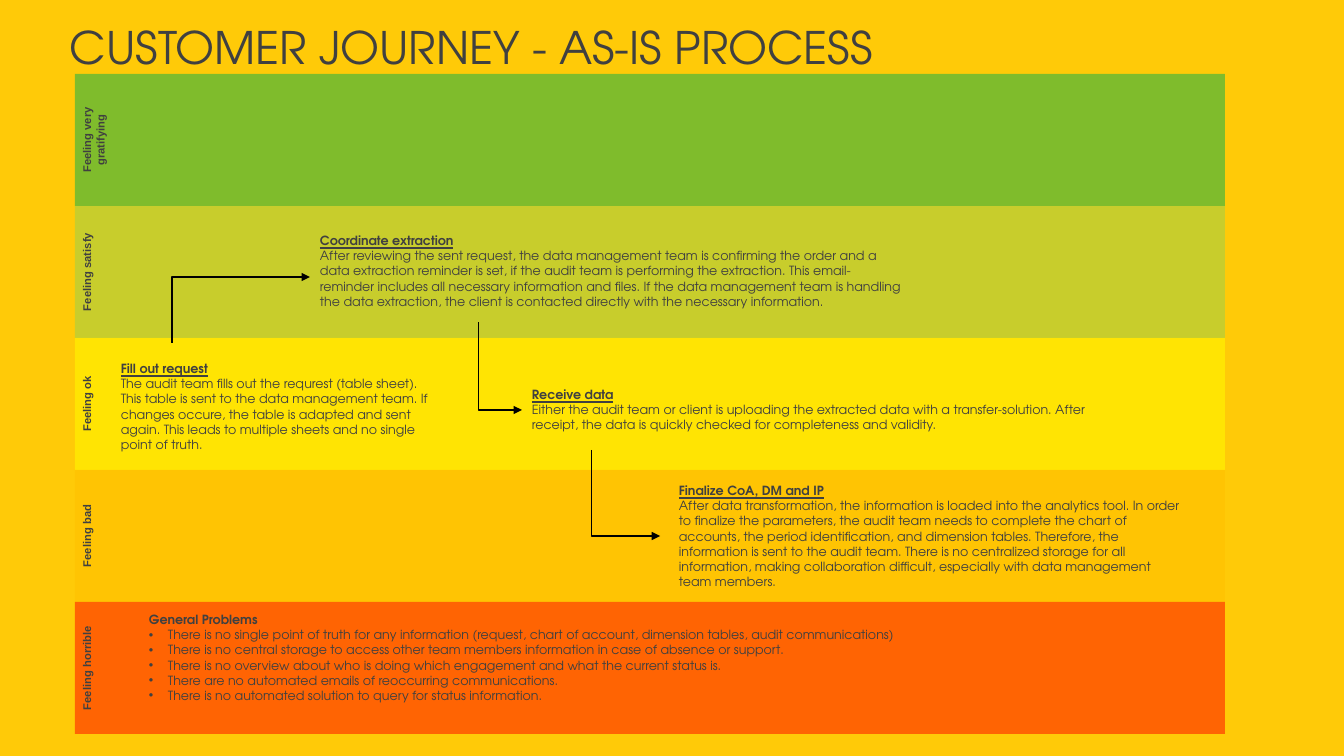
from lxml.etree import SubElement
from pptx import Presentation
from pptx.dml.color import RGBColor
from pptx.enum.shapes import MSO_CONNECTOR, MSO_SHAPE
from pptx.enum.text import PP_ALIGN
from pptx.oxml.ns import qn
from pptx.util import Pt

EMU_PER_PX = 914400 / 100.8
BODY_FONT = "TeX Gyre Adventor"
INK = "404040"

BANDS = [
    ("Feeling very gratifying", "00B050"),
    ("Feeling satisfy", "92D050"),
    ("Feeling ok", "FFFF00"),
    ("Feeling bad", "FFC000"),
    ("Feeling horrible", "FF0000"),
]
STEPS = [
    ((111, 356, 332, 132), "Fill out request",
     "The audit team fills out the requrest (table sheet). This table is sent to the data "
     "management team. If changes occure, the table is adapted and sent again. This leads to "
     "multiple sheets and no single point of truth."),
    ((310, 228, 602, 87), "Coordinate extraction",
     "After reviewing the sent request, the data management team is confirming the order and a "
     "data extraction reminder is set, if the audit team is performing the extraction. This "
     "email-reminder includes all necessary information and files. If the data management team "
     "is handling the data extraction, the client is contacted directly with the necessary "
     "information."),
    ((522, 382, 601, 56), "Receive data",
     "Either the audit team or client is uploading the extracted data with a transfer-solution. "
     "After receipt, the data is quickly checked for completeness and validity."),
    ((669, 478, 526, 147), "Finalize CoA, DM and IP",
     "After data transformation, the information is loaded into the analytics tool. In order to "
     "finalize the parameters, the audit team needs to complete the chart of accounts, the period "
     "identification, and dimension tables. Therefore, the information is sent to the audit team. "
     "There is no centralized storage for all information, making collaboration difficult, "
     "especially with data management team members."),
]
ARROWS = [
    ((172, 343), (310, 277)),
    ((479, 322), (522, 410)),
    ((591, 450), (660, 536)),
]
PROBLEMS = [
    "There is no single point of truth for any information (request, chart of account, "
    "dimension tables, audit communications)",
    "There is no central storage to access other team members information in case of absence "
    "or support.",
    "There is no overview about who is doing which engagement and what the current status is.",
    "There are no automated emails of reoccurring communications.",
    "There is no automated solution to query for status information.",
]


def px(length):
    return round(length * EMU_PER_PX)


def color(value):
    return RGBColor.from_string(value)


def add_text(page, box, lines):
    frame = page.shapes.add_textbox(*map(px, box)).text_frame
    frame.word_wrap = True
    for index, (text, formats) in enumerate(lines):
        para = frame.paragraphs[0] if index == 0 else frame.add_paragraph()
        span = para.add_run()
        span.text = text
        span.font.color.rgb = color(INK)
        for name, value in ({"name": BODY_FONT, "size": Pt(9)} | formats).items():
            setattr(span.font, name, value)
    return frame


def add_band(page, box, label, fill):
    left, top, width, height = box
    band = page.shapes.add_shape(MSO_SHAPE.RECTANGLE, *map(px, box))
    band.shadow.inherit = False
    band.line.fill.background()
    band.fill.solid()
    band.fill.fore_color.rgb = color(fill)
    tint = band.fill._xPr.find(".//" + qn("a:srgbClr"))
    SubElement(tint, qn("a:alpha"), val="50000")
    formats = {"name": "Arial", "size": Pt(8), "bold": True}
    frame = add_text(page, (left, top, 34, height), [(label, formats)])
    frame.paragraphs[0].alignment = PP_ALIGN.CENTER
    frame._txBody.bodyPr.set("vert", "vert270")


def add_scale(page, box):
    left, top, width, height = box
    band_height = height // len(BANDS)
    for index, (label, fill) in enumerate(BANDS):
        add_band(page, (left, top + index * band_height, width, band_height), label, fill)


def add_step(page, box, heading, description):
    add_text(page, box, [(heading, {"bold": True, "underline": True}), (description, {})])


def add_arrow(page, start, end):
    middle_x, middle_y = (start[0] + end[0]) / 2, (start[1] + end[1]) / 2
    half_run, half_rise = (end[0] - start[0]) / 2, (end[1] - start[1]) / 2
    corners = (middle_x + half_rise, middle_y - half_run, middle_x - half_rise, middle_y + half_run)
    arrow = page.shapes.add_connector(MSO_CONNECTOR.ELBOW, *map(px, corners))
    arrow.line.color.rgb = color("000000")
    arrow.line.width = Pt(0.75)
    properties = arrow._element.spPr
    properties.find(qn("a:xfrm")).set("rot", str(270 * 60000))
    properties.find(qn("a:prstGeom")).set("prst", "bentConnector2")
    SubElement(properties.find(qn("a:ln")), qn("a:tailEnd"), type="triangle")
    SubElement(properties, qn("a:effectLst"))


def add_problems(page, box):
    lines = [("General Problems", {"bold": True})] + [(problem, {}) for problem in PROBLEMS]
    frame = add_text(page, box, lines)
    indent = px(19)
    for para in frame.paragraphs[1:]:
        properties = para._p.get_or_add_pPr()
        for name, value in {"marL": indent, "indent": -indent}.items():
            properties.set(name, str(value))
        SubElement(properties, qn("a:buFont"), typeface="Arial")
        SubElement(properties, qn("a:buChar"), char="•")


def build_journey(page):
    page.background.fill.solid()
    page.background.fill.fore_color.rgb = color("FFCA08")
    add_scale(page, (75, 74, 1150, 660))
    for step in STEPS:
        add_step(page, *step)
    for start, end in ARROWS:
        add_arrow(page, start, end)
    add_text(page, (60, 15, 1092, 54), [("CUSTOMER JOURNEY - AS-IS PROCESS", {"size": Pt(32)})])
    add_problems(page, (139, 607, 849, 147))


def main():
    deck = Presentation()
    deck.slide_width, deck.slide_height = px(1344), px(756)
    build_journey(deck.slides.add_slide(deck.slide_layouts[6]))
    deck.save("out.pptx")


if __name__ == "__main__":
    main()
